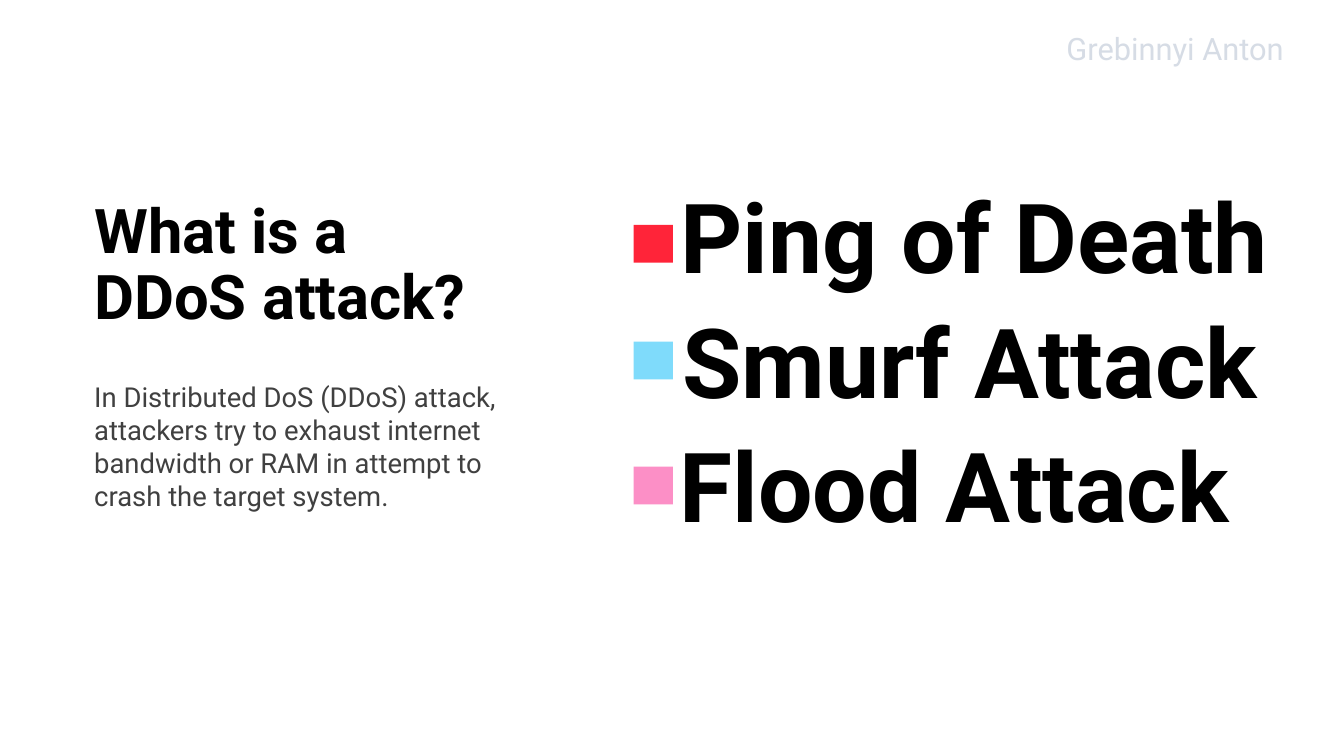
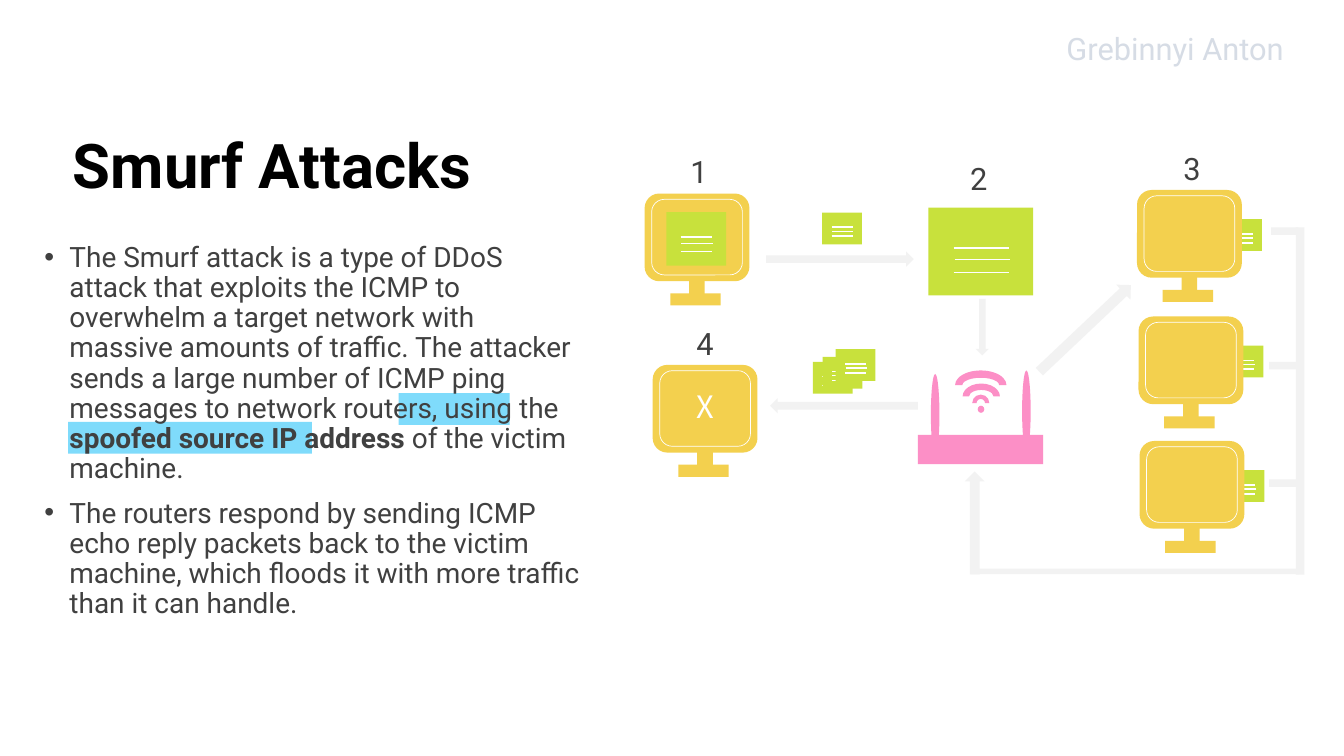
from dataclasses import dataclass
from typing import NamedTuple, Optional

from lxml.etree import SubElement
from pptx import Presentation
from pptx.dml.color import RGBColor
from pptx.enum.shapes import MSO_CONNECTOR, MSO_SHAPE
from pptx.enum.text import MSO_ANCHOR, MSO_AUTO_SIZE, PP_ALIGN
from pptx.oxml.ns import qn
from pptx.util import Emu, Inches, Pt

# Grid of the slide: 160 columns by 90 rows
WIDTH, HEIGHT = Inches(26.67), Inches(15)
COLUMN, ROW = WIDTH / 160, HEIGHT / 90


@dataclass(frozen=True)
class Theme:
    font: str = "Roboto"
    cross_font: str = "Noto Sans CJK SC"
    black: str = "000000"
    gray: str = "404040"
    author: str = "D6DCE5"
    white: str = "FFFFFF"
    red: str = "FF2439"
    blue: str = "7FDBFB"
    pink: str = "FC8FC6"
    yellow: str = "F3D04E"
    green: str = "C8E13C"
    arrow: str = "F2F2F2"
    attack_size: float = 138
    title_size: float = 88
    small_size: float = 44
    body_size: float = 40
    intro_size: float = 39.2
    spacing: float = 0.9


THEME = Theme()


class Box(NamedTuple):
    left: float
    top: float
    width: float
    height: float

    def emu(self) -> list[Emu]:
        return [Emu(round(n * unit)) for n, unit in zip(self, (COLUMN, ROW) * 2)]


class Style(NamedTuple):
    size: float
    color: str
    bold: bool = False
    font: str = THEME.font


class Attack(NamedTuple):
    label: str
    color: str
    square_top: float
    text_left: float
    text_width: float


class Arrow(NamedTuple):
    box: Box
    rotation: float


class Step(NamedTuple):
    number: str
    left: float
    top: float


TITLE = Style(THEME.title_size, THEME.black, True)
BODY = Style(THEME.body_size, THEME.gray)
NUMBER = Style(THEME.small_size, THEME.gray)
CROSS = Style(THEME.small_size, THEME.white, font=THEME.cross_font)

ATTACKS = (
    Attack("Ping of Death", THEME.red, 26.76, 80.4, 76),
    Attack("Smurf Attack", THEME.blue, 40.68, 80.64, 73.5),
    Attack("Flood Attack", THEME.pink, 55.56, 80.34, 71.5),
)
SMURF_POINTS = (
    ("The Smurf attack is a type of DDoS attack that exploits the ICMP to overwhelm a "
     "target network with massive amounts of traffic. The attacker sends a large number "
     "of ICMP ping messages to network routers, using the ",
     "spoofed source IP address ", "of the victim machine."),
    ("The routers respond by sending ICMP echo reply packets back to the victim machine, "
     "which floods it with more traffic than it can handle.",),
)
HIGHLIGHTS = (Box(47.46, 46.8, 13.2, 3.78), Box(8.1, 50.22, 29.04, 3.78))
STEPS = (Step("1", 81.6, 18.36), Step("2", 114.9, 19.26),
         Step("4", 82.32, 38.82), Step("3", 140.28, 18.06))
AMPLIFIERS = ((135.36, 22.62), (135.54, 37.68), (135.66, 52.5))
SMALL_NOTES = ((97.86, 25.32), (96.78, 43.08), (97.92, 42.48), (99.48, 41.58))
ARROWS = (
    Arrow(Box(91.2, 29.94, 17.58, 1.8), 0),
    Arrow(Box(91.68, 47.4, 17.58, 1.8), 180),
    Arrow(Box(113.58, 38.16, 6.72, 1.56), 90),
    Arrow(Box(121.68, 37.86, 15, 2.46), 316.6),
    Arrow(Box(109.92, 61.08, 12.24, 2.34), 270),
)
RETURN_PATH = (Box(154.26, 27.06, 1.02, 41.34), Box(115.56, 67.68, 39, 0.66))
RETURN_STUBS = ((151.08, 57.06), (151.08, 43.08), (151.32, 27.06))
ROUTER = (
    (MSO_SHAPE.RECTANGLE, Box(109.26, 51.78, 14.94, 3.48)),
    (MSO_SHAPE.OVAL, Box(110.82, 44.52, 1.02, 9.66)),
    (MSO_SHAPE.OVAL, Box(121.68, 44.1, 1.02, 9.66)),
    (MSO_SHAPE.BLOCK_ARC, Box(115.74, 46.98, 2.04, 2.04)),
    (MSO_SHAPE.BLOCK_ARC, Box(114.6, 45.66, 4.44, 3.06)),
    (MSO_SHAPE.BLOCK_ARC, Box(113.7, 44.1, 6.12, 3.48)),
    (MSO_SHAPE.OVAL, Box(116.4, 48.3, 0.78, 0.84)),
)


# Basic parts
def style_run(run, style: Style) -> None:
    run.font.name = style.font
    run.font.size = Pt(style.size)
    run.font.bold = style.bold
    run.font.color.rgb = RGBColor.from_string(style.color)


def write(frame, text: str, style: Style, spacing: Optional[float] = THEME.spacing) -> None:
    frame.text = text
    paragraph = frame.paragraphs[0]
    paragraph.line_spacing = spacing
    for run in paragraph.runs:
        style_run(run, style)


def add_text(slide, box: Box, text: str, style: Style, wrap: bool = True,
             middle: bool = False, spacing: Optional[float] = THEME.spacing):
    frame = slide.shapes.add_textbox(*box.emu()).text_frame
    frame.word_wrap = wrap
    frame.vertical_anchor = MSO_ANCHOR.MIDDLE if middle else MSO_ANCHOR.TOP
    if not wrap:
        frame.auto_size = MSO_AUTO_SIZE.SHAPE_TO_FIT_TEXT
    write(frame, text, style, spacing)
    return frame


def add_block(slide, box: Box, fill: Optional[str], kind=MSO_SHAPE.RECTANGLE,
              outline: Optional[str] = None):
    block = slide.shapes.add_shape(kind, *box.emu())
    block.shadow.inherit = False
    if fill:
        block.fill.solid()
        block.fill.fore_color.rgb = RGBColor.from_string(fill)
    else:
        block.fill.background()
    if outline:
        block.line.color.rgb = RGBColor.from_string(outline)
        block.line.width = Pt(1)
    else:
        block.line.fill.background()
    return block


def add_rule(slide, left: float, top: float, width: float) -> None:
    x, y, length, _ = Box(left, top, width, 0).emu()
    rule = slide.shapes.add_connector(MSO_CONNECTOR.STRAIGHT, x, y, x + length, y)
    rule.line.color.rgb = RGBColor.from_string(THEME.white)
    rule.line.width = Pt(2.25)
    SubElement(rule._element.spPr, qn("a:effectLst"))


def add_author(slide) -> None:
    frame = add_text(slide, Box(126.6, 3.72, 31.98, 4.68), "Grebinnyi Anton",
                     Style(THEME.small_size, THEME.author), middle=True)
    frame.margin_left = frame.margin_right = Inches(0.06)
    frame.margin_top = frame.margin_bottom = Inches(0.06)


# Diagram parts
def add_note(slide, left: float, top: float, width: float = 4.74, height: float = 3.78) -> None:
    """A message sheet with three written lines."""
    add_block(slide, Box(left, top, width, height), THEME.green)
    for across, down in ((0.24, 0.46), (0.25, 0.59), (0.24, 0.74)):
        add_rule(slide, left + across * width, top + down * height, 0.53 * width)


def add_computer(slide, left: float, top: float, label: str = "") -> None:
    case = add_block(slide, Box(left, top, 12.48, 10.44), THEME.yellow,
                     MSO_SHAPE.ROUNDED_RECTANGLE)
    if label:
        write(case.text_frame, label, CROSS)
        case.text_frame.vertical_anchor = MSO_ANCHOR.MIDDLE
        case.text_frame.paragraphs[0].alignment = PP_ALIGN.CENTER
    add_block(slide, Box(left + 0.84, top + 0.69, 10.8, 9), None if label else THEME.yellow,
              MSO_SHAPE.ROUNDED_RECTANGLE, THEME.white)
    add_block(slide, Box(left + 5.3, top + 10.24, 1.86, 2.7), THEME.yellow)
    add_block(slide, Box(left + 3.06, top + 11.88, 6, 1.44), THEME.yellow)


def add_points(slide, box: Box) -> None:
    frame = add_text(slide, box, "", BODY)
    for index, parts in enumerate(SMURF_POINTS):
        paragraph = frame.add_paragraph() if index else frame.paragraphs[0]
        properties = paragraph._p.get_or_add_pPr()
        properties.set("marL", str(Inches(0.5)))
        properties.set("indent", str(-Inches(0.5)))
        SubElement(properties, qn("a:buFont"), typeface="Arial")
        SubElement(properties, qn("a:buChar"), char="•")
        paragraph.line_spacing = THEME.spacing
        if index:
            paragraph.space_before = Pt(20)
        for position, part in enumerate(parts):
            run = paragraph.add_run()
            run.text = part
            style_run(run, BODY._replace(bold=position == 1))


# Slides
def build_overview(slide) -> None:
    add_text(slide, Box(10.62, 23.04, 55.68, 17.4), "What is a\vDDoS attack?", TITLE, middle=True)
    add_text(slide, Box(10.62, 45, 50.76, 17.4),
             "In Distributed DoS (DDoS) attack, attackers try to exhaust internet "
             "bandwidth or RAM in attempt to crash the target system.",
             Style(THEME.intro_size, THEME.gray), spacing=None)
    for index, attack in enumerate(ATTACKS):
        add_block(slide, Box(75.42, attack.square_top, 4.68, 4.5), attack.color)
        add_text(slide, Box(attack.text_left, 22.38 + 14.82 * index, attack.text_width, 13.2),
                 attack.label, Style(THEME.attack_size, THEME.black, True), wrap=False)
    add_author(slide)


def build_smurf(slide) -> None:
    for highlight in HIGHLIGHTS:
        add_block(slide, highlight, THEME.blue)
    add_text(slide, Box(8.1, 11.4, 52.2, 17.4), "Smurf Attacks", TITLE, middle=True)
    add_points(slide, Box(4.68, 28.62, 65.4, 57.12))

    # Attacker, victim and amplifying computers
    add_computer(slide, 76.74, 23.04)
    add_note(slide, 79.32, 25.26, 7.14, 6.36)
    add_computer(slide, 77.7, 43.44, "X")
    for left, top in AMPLIFIERS:
        add_note(slide, left + 10.12, top + 3.48)
        add_computer(slide, left, top)

    # Messages and router
    for left, top in SMALL_NOTES:
        add_note(slide, left, top)
    add_note(slide, 110.52, 24.72, 12.48, 10.44)
    for kind, box in ROUTER:
        add_block(slide, box, THEME.pink, kind)

    # Flow of traffic
    for arrow in ARROWS:
        add_block(slide, arrow.box, THEME.arrow, MSO_SHAPE.RIGHT_ARROW).rotation = arrow.rotation
    for bar in RETURN_PATH:
        add_block(slide, bar, THEME.arrow)
    for left, top in RETURN_STUBS:
        add_block(slide, Box(left, top, 3.24, 0.9), THEME.arrow)
    for step in STEPS:
        add_text(slide, Box(step.left, step.top, 3.3, 4.62), step.number, NUMBER, wrap=False)
    add_author(slide)


def main() -> None:
    deck = Presentation()
    deck.slide_width, deck.slide_height = WIDTH, HEIGHT
    for build in (build_overview, build_smurf):
        build(deck.slides.add_slide(deck.slide_layouts[6]))
    deck.save("out.pptx")


if __name__ == "__main__":
    main()
